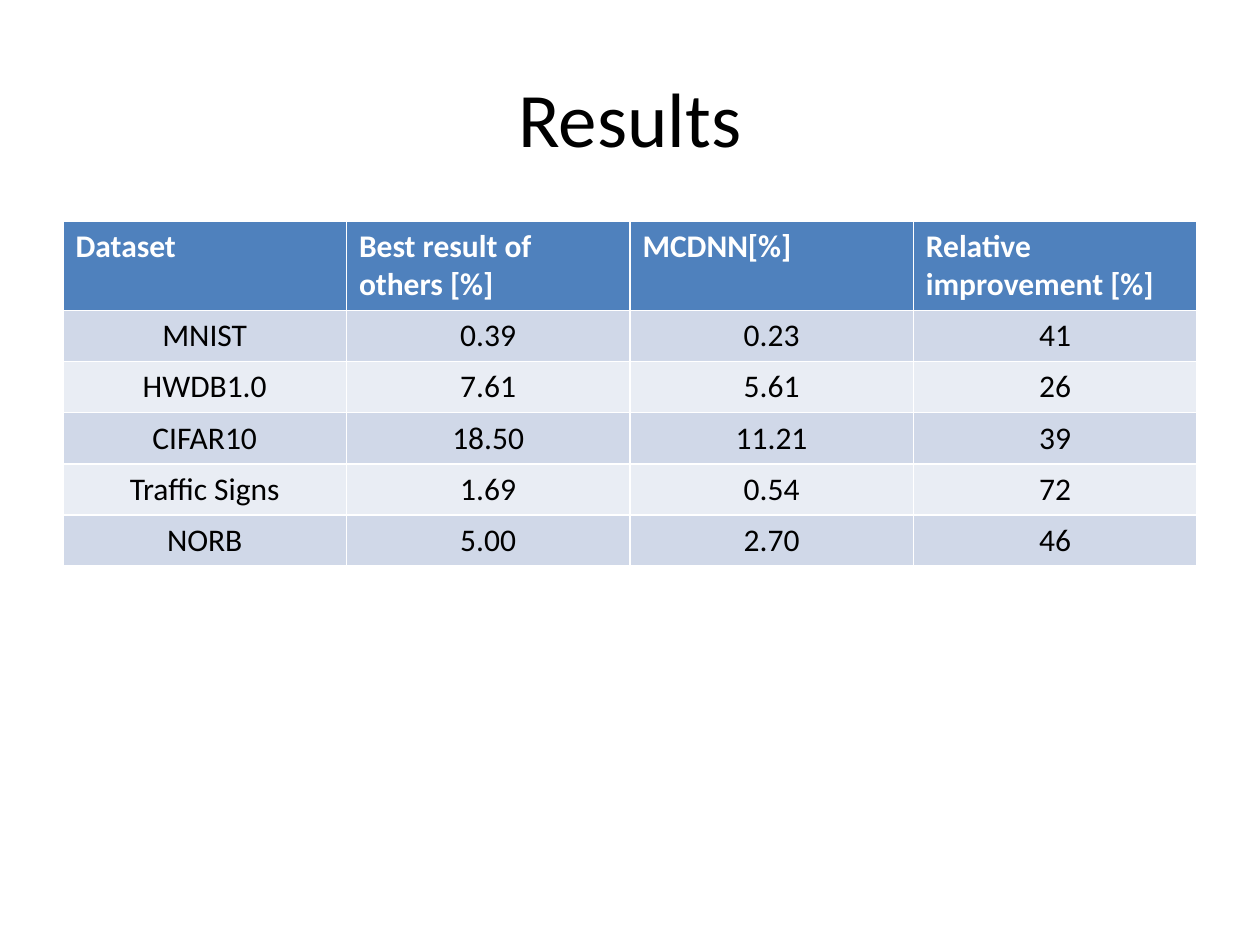
from pptx import Presentation
from pptx.dml.color import RGBColor
from pptx.enum.text import MSO_ANCHOR, PP_ALIGN
from pptx.util import Pt

HEADING = "Results"
HEADERS = ["Dataset", "Best result of others [%]", "MCDNN[%]", "Relative improvement [%]"]
RESULTS = [
    ("MNIST", "0.39", "0.23", "41"),
    ("HWDB1.0", "7.61", "5.61", "26"),
    ("CIFAR10", "18.50", "11.21", "39"),
    ("Traffic Signs", "1.69", "0.54", "72"),
    ("NORB", "5.00", "2.70", "46"),
]
HEADER_FILL = "4F81BD"
BAND_FILLS = ["D0D8E8", "E9EDF4"]
SCALE = 914400 // 126
LEFT, WIDTH = 63, 1134
ROW_HEIGHT = 51


def px(*lengths):
    return [length * SCALE for length in lengths]


def color(value):
    return RGBColor.from_string(value)


def style(paragraph, size, ink, align, bold=False):
    paragraph.alignment = align
    font = paragraph.font
    font.name, font.size, font.bold = "Calibri", Pt(size), bold
    font.color.rgb = color(ink)


presentation = Presentation()
presentation.slide_width, presentation.slide_height = px(1260, 945)
slide = presentation.slides.add_slide(presentation.slide_layouts[5])

heading = slide.shapes.title
heading.left, heading.top, heading.width, heading.height = px(LEFT, 38, WIDTH, 157)
heading.text_frame.text = HEADING
heading.text_frame.vertical_anchor = MSO_ANCHOR.MIDDLE
style(heading.text_frame.paragraphs[0], 44, "000000", PP_ALIGN.CENTER)

rows = [HEADERS, *RESULTS]
results = slide.shapes.add_table(len(rows), len(HEADERS), *px(LEFT, 221, WIDTH, 344)).table
for r, values in enumerate(rows):
    results.rows[r].height = px(ROW_HEIGHT)[0]
    is_header = r == 0
    for c, value in enumerate(values):
        cell = results.cell(r, c)
        cell.text = value
        cell.fill.solid()
        cell.fill.fore_color.rgb = color(HEADER_FILL if is_header else BAND_FILLS[(r - 1) % 2])
        style(
            cell.text_frame.paragraphs[0],
            18,
            "FFFFFF" if is_header else "000000",
            PP_ALIGN.LEFT if is_header else PP_ALIGN.CENTER,
            is_header,
        )

presentation.save("out.pptx")
